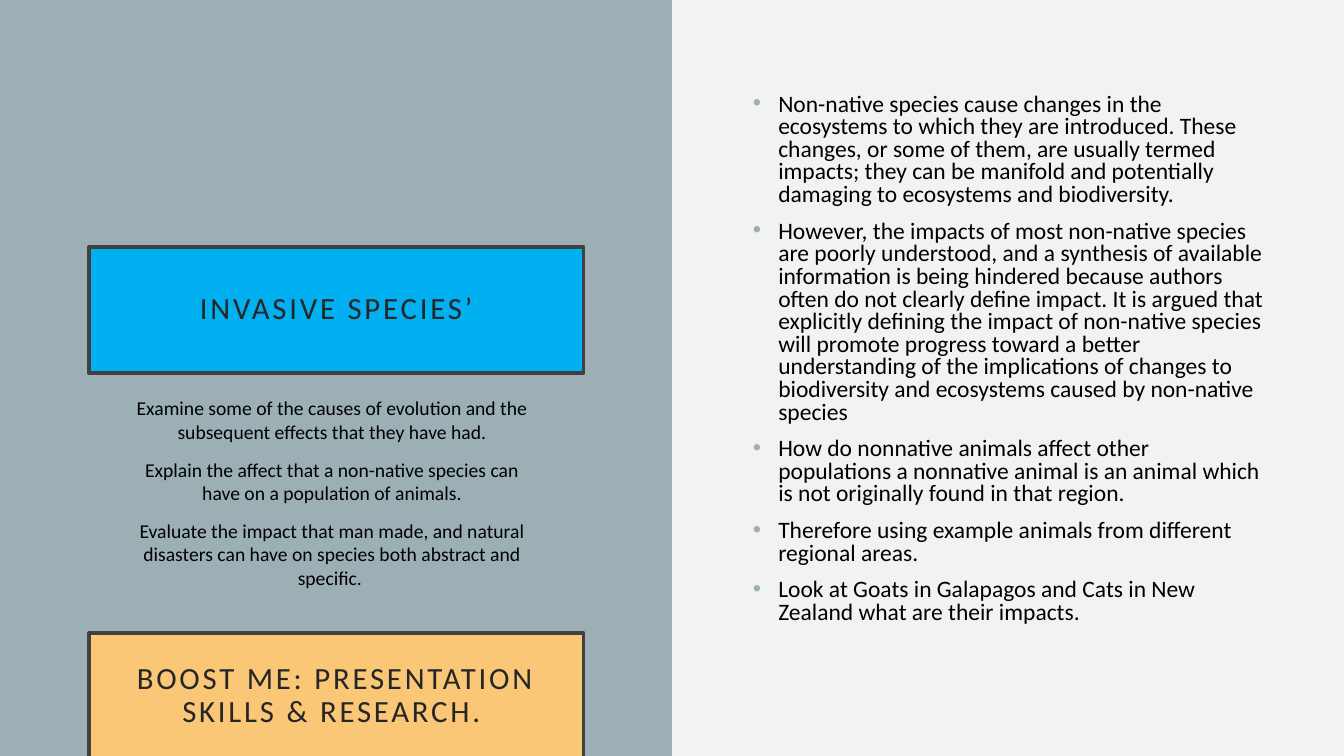
from dataclasses import dataclass

from lxml import etree
from pptx import Presentation
from pptx import util as u
from pptx.dml.color import RGBColor
from pptx.enum import shapes, text
from pptx.oxml import ns

TITLE = "INVASIVE SPECIES’"
BOOST = "BOOST ME: PRESENTATION SKILLS & RESEARCH. "
GOALS = [
    "Examine some of the causes of evolution and the subsequent effects that they have had.",
    "Explain the affect that a non-native species can have on a population of animals.",
    "Evaluate the impact that man made, and natural disasters can have on species both abstract and specific. ",
]
IMPACTS = [
    "Non-native species cause changes in the ecosystems to which they are introduced. These changes, or some of them, are usually termed impacts; they can be manifold and potentially damaging to ecosystems and biodiversity.",
    "However, the impacts of most non-native species are poorly understood, and a synthesis of available information is being hindered because authors often do not clearly define impact. It is argued that explicitly defining the impact of non-native species will promote progress toward a better understanding of the implications of changes to biodiversity and ecosystems caused by non-native species",
    "How do nonnative animals affect other populations a nonnative animal is an animal which is not originally found in that region.",
    "Therefore using example animals from different regional areas.",
    "Look at Goats in Galapagos and Cats in New Zealand what are their impacts.",
]


@dataclass(frozen=True)
class Theme:
    font: str = "Calibri"
    page: str = "F2F2F2"
    accent: str = "9BAFB5"
    title_fill: str = "00B0F0"
    boost_fill: str = "FAC777"
    border: str = "404040"
    heading: str = "262626"
    body: str = "000000"
    heading_size: float = 22
    goal_size: float = 14
    impact_size: float = 16.8


THEME = Theme()
WIDTH, HEIGHT = u.Cm(33.87), u.Cm(19.05)
BANNER_LEFT, BANNER_WIDTH, BANNER_HEIGHT = u.Cm(2.24), u.Cm(12.47), u.Cm(3.18)
TITLE_TOP, BOOST_TOP = u.Cm(6.22), u.Cm(15.95)
GOALS_AREA = u.Cm(3.1), u.Cm(9.86), u.Cm(10.54), u.Cm(6.1)
IMPACTS_AREA = u.Cm(18.72), u.Cm(2.24), u.Cm(13.39), u.Cm(14.58)
INSET, INDENT = u.Cm(0.51), u.Cm(0.64)


def paint(fill, color):
    fill.solid()
    fill.fore_color.rgb = RGBColor.from_string(color)


def place(box, left, top, width, height):
    box.left, box.top, box.width, box.height = left, top, width, height


def add_span(para, words, size, color):
    span = para.add_run()
    span.text = words
    span.font.name, span.font.size = THEME.font, u.Pt(size)
    span.font.color.rgb = RGBColor.from_string(color)
    return span


def format_banner(box, top, words, fill):
    place(box, BANNER_LEFT, top, BANNER_WIDTH, BANNER_HEIGHT)
    paint(box.fill, fill)
    paint(box.line.fill, THEME.border)
    box.line.width = u.Pt(2.5)
    frame = box.text_frame
    frame.word_wrap = True
    frame.auto_size = text.MSO_AUTO_SIZE.NONE
    frame.vertical_anchor = text.MSO_ANCHOR.MIDDLE
    frame.margin_left = frame.margin_right = INSET
    frame.margin_top = frame.margin_bottom = INSET
    para = frame.paragraphs[0]
    para.alignment, para.line_spacing = text.PP_ALIGN.CENTER, 0.9
    span = add_span(para, words, THEME.heading_size, THEME.heading)
    span._r.get_or_add_rPr().set("spc", "200")


def set_bullet(para, shown):
    properties = para._p.get_or_add_pPr()
    indent = INDENT if shown else 0
    properties.set("marL", str(int(indent)))
    properties.set("indent", str(int(-indent)))
    if not shown:
        etree.SubElement(properties, ns.qn("a:buNone"))
        return
    color = etree.SubElement(properties, ns.qn("a:buClr"))
    etree.SubElement(color, ns.qn("a:srgbClr"), val=THEME.accent)
    etree.SubElement(properties, ns.qn("a:buFont"), typeface="Arial")
    etree.SubElement(properties, ns.qn("a:buChar"), char="•")


def fill_list(box, area, items, size, alignment, spacing, bulleted):
    place(box, *area)
    frame = box.text_frame
    frame.word_wrap = True
    frame.auto_size = text.MSO_AUTO_SIZE.NONE
    for index, words in enumerate(items):
        para = frame.add_paragraph() if index else frame.paragraphs[0]
        set_bullet(para, bulleted)
        para.alignment, para.line_spacing = alignment, spacing
        para.space_before = u.Pt(10 if index else 0)
        add_span(para, words, size, THEME.body)


def main():
    """Build the invasive species slide."""
    deck = Presentation()
    deck.slide_width, deck.slide_height = WIDTH, HEIGHT
    page = deck.slides.add_slide(deck.slide_layouts.get_by_name("Two Content"))
    paint(page.background.fill, THEME.page)
    title = page.shapes.title
    goals, impacts = page.placeholders[1], page.placeholders[2]

    rectangle = shapes.MSO_SHAPE.RECTANGLE
    panel = page.shapes.add_shape(rectangle, 0, 0, WIDTH // 2, HEIGHT)
    panel.shadow.inherit = False
    paint(panel.fill, THEME.accent)
    panel.line.fill.background()
    title.element.addprevious(panel.element)

    format_banner(title, TITLE_TOP, TITLE, THEME.title_fill)
    fill_list(goals, GOALS_AREA, GOALS, THEME.goal_size,
              text.PP_ALIGN.CENTER, 1.0, False)
    boost = page.shapes.add_shape(
        rectangle, BANNER_LEFT, BOOST_TOP, BANNER_WIDTH, BANNER_HEIGHT)
    boost.shadow.inherit = False
    format_banner(boost, BOOST_TOP, BOOST, THEME.boost_fill)
    fill_list(impacts, IMPACTS_AREA, IMPACTS, THEME.impact_size,
              text.PP_ALIGN.LEFT, 0.8, True)
    deck.save("out.pptx")


if __name__ == "__main__":
    main()
